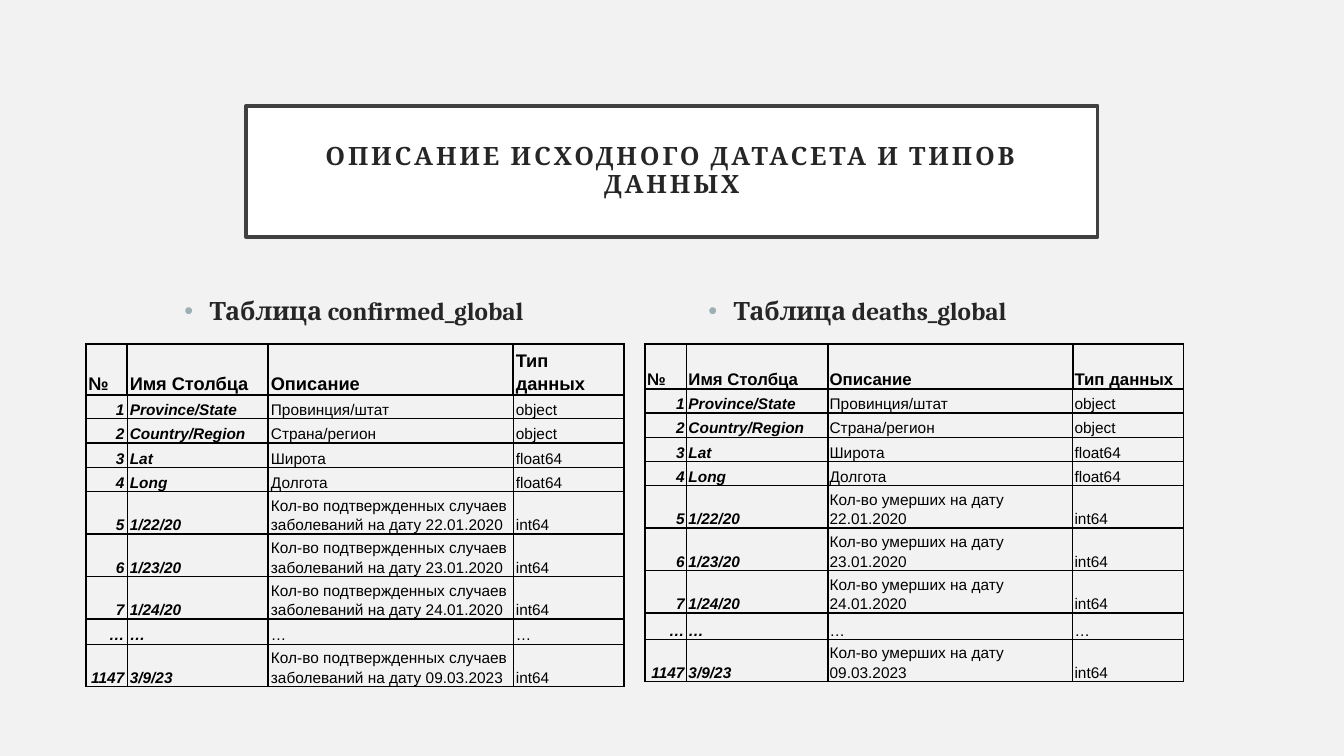
from dataclasses import dataclass

from lxml import etree
from pptx import Presentation
from pptx.dml.color import RGBColor
from pptx.enum.text import MSO_ANCHOR, MSO_AUTO_SIZE, PP_ALIGN
from pptx.oxml.ns import qn
from pptx.util import Pt

LEFT, CENTER, RIGHT = PP_ALIGN.LEFT, PP_ALIGN.CENTER, PP_ALIGN.RIGHT
TOP, MIDDLE, BOTTOM = MSO_ANCHOR.TOP, MSO_ANCHOR.MIDDLE, MSO_ANCHOR.BOTTOM
NO_AUTOFIT = MSO_AUTO_SIZE.NONE


@dataclass(frozen=True)
class Theme:
    background: str = "F2F2F2"
    panel: str = "FFFFFF"
    frame: str = "404040"
    heading: str = "262626"
    bullet: str = "9BAFB5"
    table: str = "000000"
    heading_font: str = "Cambria"
    table_font: str = "Arial"
    heading_size: float = 18
    cell_size: float = 11
    thin: float = 1
    thick: float = 1.5


THEME = Theme()


def write_text(frame, text, *, font, size, color, bold=False, italic=False,
               align=LEFT, line_spacing=None):
    paragraph = frame.paragraphs[0]
    paragraph.alignment = align
    if line_spacing:
        paragraph.line_spacing = line_spacing
    run = paragraph.add_run()
    run.text = text
    run.font.name = font
    run.font.size = Pt(size)
    run.font.bold = bold
    run.font.italic = italic
    run.font.color.rgb = RGBColor.from_string(color)
    return paragraph


def set_borders(cell, **widths):
    """Draw cell borders; keys are L, R, T, B and must come in that order."""
    properties = cell._tc.get_or_add_tcPr()
    for side, width in widths.items():
        line = etree.SubElement(properties, qn(f"a:ln{side}"), w=str(Pt(width)))
        fill = etree.SubElement(line, qn("a:solidFill"))
        etree.SubElement(fill, qn("a:srgbClr"), val=THEME.table)


presentation = Presentation()
presentation.slide_width, presentation.slide_height = Pt(960), Pt(540)
slide = presentation.slides.add_slide(presentation.slide_layouts.get_by_name("Title Only"))
slide.background.fill.solid()
slide.background.fill.fore_color.rgb = RGBColor.from_string(THEME.background)

heading_format = dict(font=THEME.heading_font, size=THEME.heading_size,
                      color=THEME.heading, bold=True)

# Title
title = slide.shapes.title
title.left, title.top, title.width, title.height = Pt(175.7), Pt(75.6), Pt(608.4), Pt(93.6)
title.fill.solid()
title.fill.fore_color.rgb = RGBColor.from_string(THEME.panel)
title.line.color.rgb = RGBColor.from_string(THEME.frame)
title.line.width = Pt(2.5)
title_frame = title.text_frame
title_frame.word_wrap = True
title_frame.auto_size = NO_AUTOFIT
title_frame.vertical_anchor = MIDDLE
title_frame.margin_left = title_frame.margin_right = Pt(14.4)
title_frame.margin_top = title_frame.margin_bottom = Pt(14.4)
title_paragraph = write_text(title_frame, "ОПИСАНИЕ ИСХОДНОГО ДАТАСЕТА И ТИПОВ ДАННЫХ",
                             align=CENTER, line_spacing=0.9, **heading_format)
title_paragraph.runs[0].font._element.set("spc", "200")

# Table contents
HEADER = ("№", "Имя Столбца", "Описание", "Тип данных")
PLACE_ROWS = [
    ("1", "Province/State", "Провинция/штат", "object"),
    ("2", "Country/Region", "Страна/регион", "object"),
    ("3", "Lat", "Широта", "float64"),
    ("4", "Long", "Долгота", "float64"),
]
DATES = [
    ("5", "1/22/20", "22.01.2020"),
    ("6", "1/23/20", "23.01.2020"),
    ("7", "1/24/20", "24.01.2020"),
    ("1147", "3/9/23", "09.03.2023"),
]
COLUMN_WIDTHS = (29.6, 100.8, 175, 79.2)
TABLE_TOP = 246

# name, heading left, table left, measure, header size, cell margin,
# heights of header, place, date and ellipsis rows
DATASETS = [
    ("confirmed_global", 124.6, 61.2, "Кол-во подтвержденных случаев заболеваний",
     13, 1.9, (26.6, 17.3, 27.4, 18)),
    ("deaths_global", 499, 460.8, "Кол-во умерших",
     12, 1.4, (31.7, 17.3, 29.3, 18.7)),
]

for name, heading_left, table_left, measure, header_size, margin, heights in DATASETS:
    heading = slide.shapes.add_textbox(Pt(heading_left), Pt(207.4), Pt(336.2), Pt(244))
    heading.text_frame.word_wrap = True
    heading.text_frame.vertical_anchor = TOP
    paragraph = write_text(heading.text_frame, f"Таблица {name}", **heading_format)
    paragraph.space_before = Pt(10)
    properties = paragraph._p.get_or_add_pPr()
    properties.set("marL", str(Pt(18)))
    properties.set("indent", str(Pt(-18)))
    bullet_color = etree.SubElement(properties, qn("a:buClr"))
    etree.SubElement(bullet_color, qn("a:srgbClr"), val=THEME.bullet)
    etree.SubElement(properties, qn("a:buFont"), typeface=THEME.table_font)
    etree.SubElement(properties, qn("a:buChar"), char="•")

    date_rows = [(number, column, f"{measure} на дату {date}", "int64")
                 for number, column, date in DATES]
    rows = [HEADER, *PLACE_ROWS, *date_rows[:-1], ("…",) * 4, date_rows[-1]]
    header_height, place_height, date_height, ellipsis_height = heights
    row_heights = [header_height, *[place_height] * 4, *[date_height] * 3,
                   ellipsis_height, date_height]

    table = slide.shapes.add_table(len(rows), len(HEADER), Pt(table_left), Pt(TABLE_TOP),
                                   Pt(sum(COLUMN_WIDTHS)), Pt(sum(row_heights))).table
    table.first_row = table.horz_banding = False
    for column, width in zip(table.columns, COLUMN_WIDTHS):
        column.width = Pt(width)
    for row, height in zip(table.rows, row_heights):
        row.height = Pt(height)

    for row_index, values in enumerate(rows):
        is_header = row_index == 0
        for column_index, value in enumerate(values):
            cell = table.cell(row_index, column_index)
            cell.vertical_anchor = BOTTOM
            cell.margin_left = cell.margin_right = Pt(margin)
            cell.margin_top = cell.margin_bottom = 0
            starts_pair = column_index % 2 == 0
            set_borders(
                cell,
                L=THEME.thick if is_header or starts_pair else THEME.thin,
                R=THEME.thick if is_header or not starts_pair else THEME.thin,
                T=THEME.thick if row_index <= 1 else THEME.thin,
                B=THEME.thick if is_header else THEME.thin,
            )
            cell.fill.background()
            is_key = column_index < 2
            write_text(cell.text_frame, value, font=THEME.table_font, color=THEME.table,
                       size=header_size if is_header else THEME.cell_size,
                       bold=is_header or is_key, italic=is_key and not is_header,
                       align=RIGHT if column_index == 0 and not is_header else LEFT,
                       line_spacing=1.15)

presentation.save("out.pptx")
